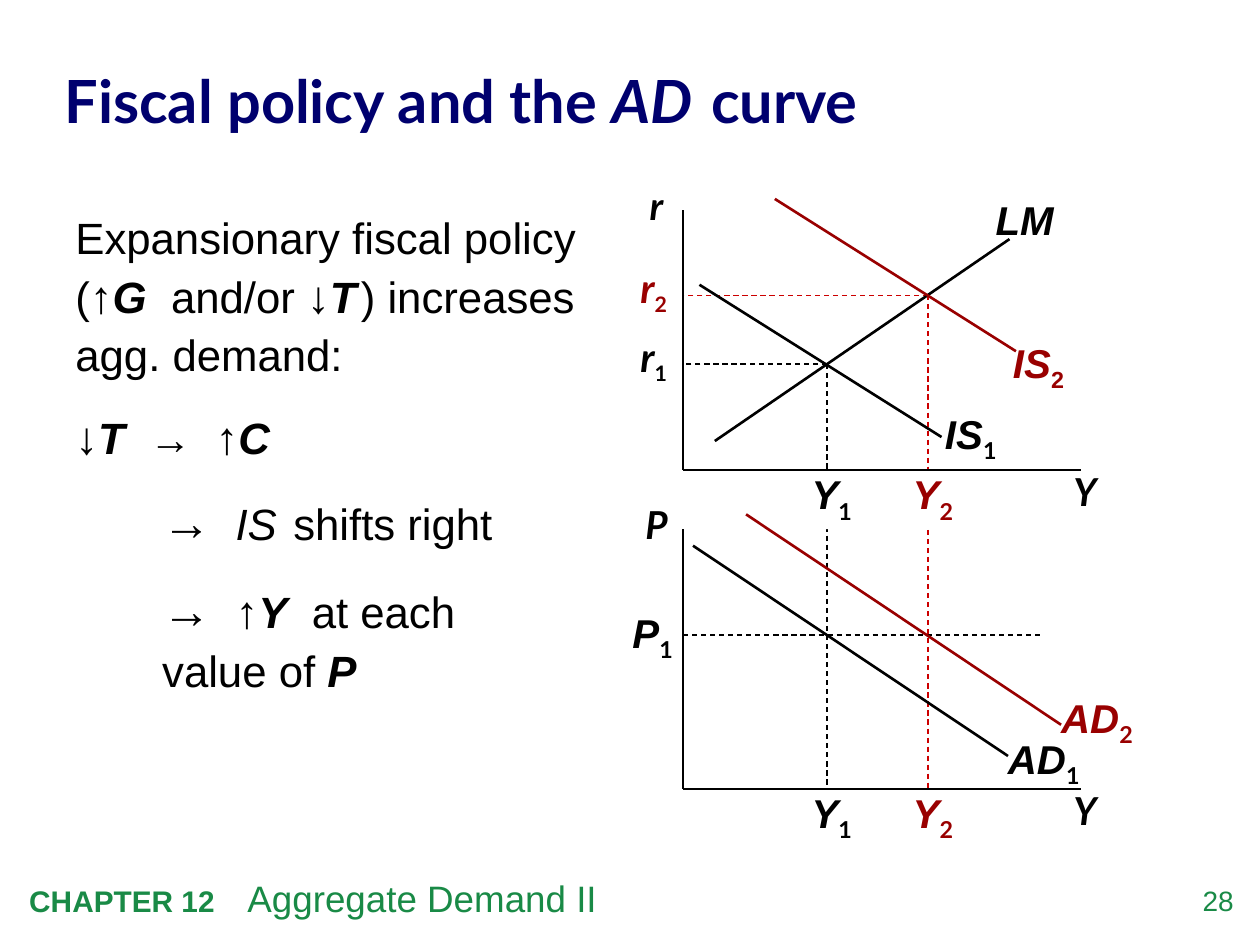
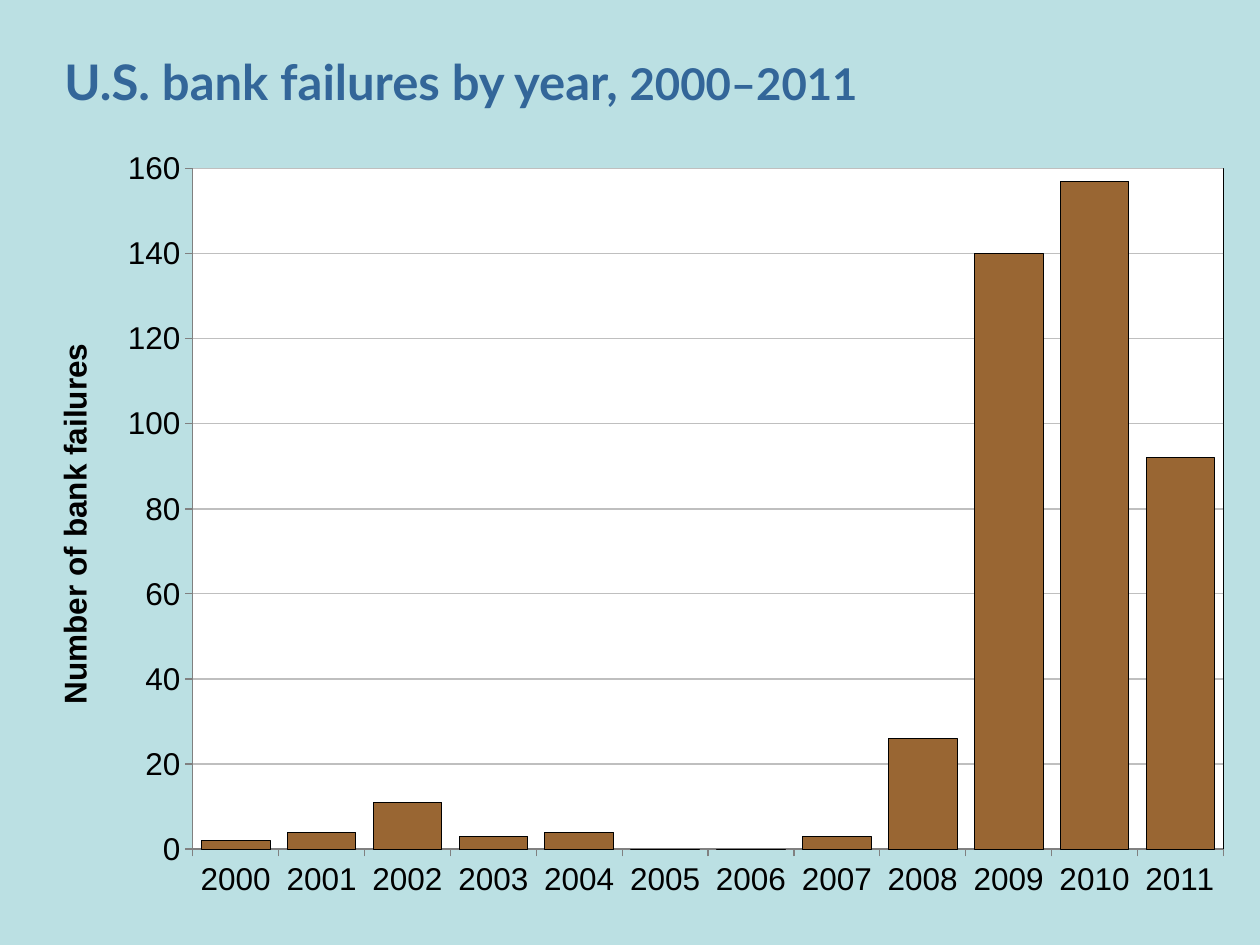
from lxml import etree
from pptx import Presentation
from pptx import util as u
from pptx.chart.data import CategoryChartData
from pptx.dml.color import RGBColor
from pptx.enum import chart as charts, dml, shapes, text
from pptx.oxml import parse_xml
from pptx.oxml.ns import nsdecls, qn

BLACK, RED, GUIDE_RED = "000000", "990000", "CC0000"
WHITE, NAVY, BLUE, GREEN = "FFFFFF", "00006E", "336699", "198A46"
PALE, BROWN, GRID, AXIS = "BBE0E3", "996633", "BFBFBF", "808080"
SANS, DISPLAY = "Arial", "Lato"
PANEL_LEFT, UPPER_TOP, LOWER_TOP = 13.77, 4.24, 10.67
PANEL_WIDTH, PANEL_HEIGHT = 8.03, 5.23
Y1, Y2 = 2.9, 4.94
WIDE_SPACE = (" ", 25, "w")


def color(value):
    """Turn a hex string into a colour."""
    return RGBColor.from_string(value)


def set_background(slide, fill):
    """Fill the slide background."""
    slide.background.fill.solid()
    slide.background.fill.fore_color.rgb = color(fill)


def place(shape, left, top, width, height):
    """Set the box of a shape in centimetres."""
    shape.left, shape.top = u.Cm(left), u.Cm(top)
    shape.width, shape.height = u.Cm(width), u.Cm(height)


def prepare_frame(shape, margin=0, anchor=text.MSO_ANCHOR.TOP):
    """Give a text frame equal margins, wrapping and a fixed size."""
    frame = shape.text_frame
    frame.word_wrap = True
    frame.auto_size = text.MSO_AUTO_SIZE.NONE
    frame.vertical_anchor = anchor
    frame.margin_left = frame.margin_right = u.Cm(margin)
    frame.margin_top = frame.margin_bottom = u.Cm(margin / 2)
    return frame


def add_run(paragraph, words, size, style="", font=SANS, ink=BLACK):
    """Add a run; style letters: b bold, i italic, s subscript, w wide."""
    run = paragraph.add_run()
    run.text = words
    run.font.name = font
    run.font.size = u.Pt(size)
    run.font.bold = "b" in style
    run.font.italic = "i" in style
    run.font.color.rgb = color(ink)
    properties = run._r.get_or_add_rPr()
    if "s" in style:
        properties.set("baseline", "-25000")
    if "w" in style:
        properties.set("spc", "700")


def add_title(slide, runs, ink, height):
    """Format the title placeholder and fill it."""
    title = slide.shapes.title
    place(title, 1.3, 0.66, 22.91, height)
    paragraph = prepare_frame(title, anchor=text.MSO_ANCHOR.MIDDLE).paragraphs[0]
    paragraph.alignment = text.PP_ALIGN.LEFT
    paragraph.line_spacing = 1.05
    for words, size, style in runs:
        add_run(paragraph, words, size, style, DISPLAY, ink)


def add_text(slide, box, runs, ink=BLACK, align=text.PP_ALIGN.LEFT, fill=None):
    """Add one line of text made of (words, size, style, font) runs."""
    shape = slide.shapes.add_textbox(*map(u.Cm, box))
    paragraph = prepare_frame(shape).paragraphs[0]
    paragraph.alignment = align
    for words, size, style, font in runs:
        add_run(paragraph, words, size, style, font, ink)
    if fill:
        shape.fill.solid()
        shape.fill.fore_color.rgb = color(fill)


def add_footer(slide, chapter, topic, number):
    """Write the chapter, its topic and the slide number."""
    add_text(slide, (0.59, 17.8, 4.2, 0.8), [(chapter, 17, "b", SANS)], GREEN)
    add_text(slide, (4.99, 17.65, 12, 0.95), [(topic, 21, "", SANS)], GREEN)
    add_text(slide, (23.47, 17.81, 1.4, 0.81), [(number, 16, "", SANS)], GREEN,
             text.PP_ALIGN.RIGHT)


def add_line(slide, top, start, end, ink=BLACK, width=1.5, dashed=False):
    """Draw a line between two points relative to a panel."""
    line = slide.shapes.add_connector(
        shapes.MSO_CONNECTOR.STRAIGHT,
        u.Cm(PANEL_LEFT + start[0]), u.Cm(top + start[1]),
        u.Cm(PANEL_LEFT + end[0]), u.Cm(top + end[1]))
    line.line.color.rgb = color(ink)
    line.line.width = u.Pt(width)
    if dashed:
        line.line.dash_style = dml.MSO_LINE.DASH
    etree.SubElement(line._element.spPr, qn("a:effectLst"))


def add_label(slide, top, spot, name, index="", ink=BLACK, font=SANS,
              index_font=DISPLAY, fill=None):
    """Place a curve or value label relative to a panel."""
    runs = [(name, 23, "bi", font)]
    if index:
        runs.append((index, 21 if font == DISPLAY else 23, "bs", index_font))
    width = 1.07 if len(name) == 1 else 1.91
    box = (PANEL_LEFT + spot[0], top + spot[1], width, 1.2)
    add_text(slide, box, runs, ink, fill=fill)


def add_axes(slide, top, name):
    """Draw the two axes of a panel and name them."""
    corner = (0, PANEL_HEIGHT)
    add_line(slide, top, (0, 0), corner, width=1)
    add_line(slide, top, corner, (PANEL_WIDTH, PANEL_HEIGHT), width=1)
    add_text(slide, (PANEL_LEFT + 7.87, top + 5.2, 1, 0.95), [("Y", 22, "bi", DISPLAY)])
    add_text(slide, (PANEL_LEFT - 1.07, top - 0.56, 1.07, 0.95),
             [(name, 22, "bi", DISPLAY)], align=text.PP_ALIGN.CENTER)


def add_equilibrium(slide, index, output, rate, ink, guide):
    """Draw the guides and labels of one equilibrium across both panels."""
    bottom = LOWER_TOP - UPPER_TOP + PANEL_HEIGHT
    add_line(slide, UPPER_TOP, (output, rate), (output, bottom), guide, 0.75, True)
    add_line(slide, UPPER_TOP, (output, rate), (0, rate), guide, 0.75, True)
    for top, fill in ((UPPER_TOP, WHITE), (LOWER_TOP, None)):
        add_label(slide, top, (output - 0.31, 5.23), "Y", index, ink, fill=fill)
    add_label(slide, UPPER_TOP, (-0.86, rate - 0.65), "r", index, ink, DISPLAY)


def add_graphs(slide):
    """Draw the IS-LM panel above the aggregate demand panel."""
    add_equilibrium(slide, "2", Y2, 1.71, RED, GUIDE_RED)
    add_equilibrium(slide, "1", Y1, 3.1, BLACK, BLACK)
    add_axes(slide, UPPER_TOP, "r")
    add_axes(slide, LOWER_TOP, "P")
    add_line(slide, LOWER_TOP, (0, 2.13), (7.19, 2.13), BLACK, 0.75, True)
    add_label(slide, LOWER_TOP, (-1.02, 1.6), "P", "1")
    curves = [
        (UPPER_TOP, (0.33, 1.5), (5.21, 4.57), (5.28, 4.01), "IS", "1", BLACK, DISPLAY),
        (UPPER_TOP, (0.64, 4.65), (6.58, 0.58), (6.3, -0.3), "LM", "", BLACK, DISPLAY),
        (LOWER_TOP, (0.2, 0.33), (6.55, 4.57), (6.55, 4.14), "AD", "1", BLACK, DISPLAY),
        (LOWER_TOP, (1.27, -0.3), (7.62, 3.94), (7.62, 3.3), "AD", "2", RED, DISPLAY),
        (UPPER_TOP, (1.85, -0.23), (6.71, 2.84), (6.65, 2.57), "IS", "2", RED, SANS),
    ]
    for top, start, end, spot, name, index, ink, index_font in curves:
        add_line(slide, top, start, end, ink)
        add_label(slide, top, spot, name, index, ink, index_font=index_font)


def add_argument(slide):
    """Fill the body placeholder with the chain of effects."""
    body = slide.placeholders[1]
    place(body, 1.27, 4.01, 10.6, 11)
    frame = prepare_frame(body, 0.25)
    steps = [
        (0, [("Expansionary fiscal policy (", 25, ""), ("↑", 26, ""), ("G", 25, "bi"),
             WIDE_SPACE, ("and/or ", 25, ""), ("↓", 26, ""), ("T", 25, "bi"),
             (" ", 9, "bi"), (") increases agg. demand:", 25, "")]),
        (0, [("↓", 26, ""), ("T", 25, "bi"), WIDE_SPACE, ("→", 24, ""), WIDE_SPACE,
             ("↑", 26, ""), ("C", 25, "bi")]),
        (1.75, [("→", 28, ""), WIDE_SPACE, ("IS", 25, "i"), (" ", 9, "i"),
                (" shifts right", 25, "")]),
        (1.75, [("→", 28, ""), WIDE_SPACE, ("↑", 26, ""), ("Y", 25, "bi"), WIDE_SPACE,
                ("at each", 25, ""), None, ("value of ", 25, ""), ("P", 25, "bi")]),
    ]
    for number, (indent, runs) in enumerate(steps):
        paragraph = frame.add_paragraph() if number else frame.paragraphs[0]
        paragraph.line_spacing = 1.1
        paragraph.space_before = u.Pt(13 if number else 0)
        properties = paragraph._p.get_or_add_pPr()
        properties.set("marL", str(u.Cm(indent)))
        properties.set("indent", "0")
        etree.SubElement(properties, qn("a:buNone"))
        for run in runs:
            if run:
                add_run(paragraph, *run)
            else:
                paragraph.add_line_break()


def format_plot_area(chart):
    """Fix the inner plot box, fill it white and outline it."""
    area = chart._chartSpace.chart.plotArea
    for layout in area.findall(qn("c:layout")):
        area.remove(layout)
    sizes = "".join(f'<c:{key} val="{value}"/>' for key, value in (
        ("layoutTarget", "inner"), ("xMode", "edge"), ("yMode", "edge"),
        ("x", 0.153), ("y", 0.028), ("w", 0.818), ("h", 0.852)))
    area.insert(0, parse_xml(f'<c:layout {nsdecls("c")}><c:manualLayout>{sizes}'
                             '</c:manualLayout></c:layout>'))
    area.append(parse_xml(
        f'<c:spPr {nsdecls("c", "a")}><a:solidFill><a:srgbClr val="{WHITE}"/></a:solidFill>'
        f'<a:ln w="6350"><a:solidFill><a:srgbClr val="{BLACK}"/></a:solidFill></a:ln></c:spPr>'))


def add_failures_chart(slide, box):
    """Add the column chart of failures by year."""
    data = CategoryChartData()
    data.categories = [str(year) for year in range(2000, 2012)]
    data.add_series("Series 1", (2, 4, 11, 3, 4, 0, 0, 3, 26, 140, 157, 92))
    chart = slide.shapes.add_chart(charts.XL_CHART_TYPE.COLUMN_CLUSTERED,
                                   *map(u.Cm, box), data).chart
    chart.has_legend = chart.has_title = False
    chart.font.name, chart.font.size = SANS, u.Pt(18)
    chart.font.color.rgb = color(BLACK)
    plot = chart.plots[0]
    plot.gap_width, plot.vary_by_categories = 25, False
    columns = plot.series[0].format
    columns.fill.solid()
    columns.fill.fore_color.rgb = color(BROWN)
    columns.line.color.rgb = color(BLACK)
    columns.line.width = u.Pt(0.5)
    values = chart.value_axis
    values.minimum_scale, values.maximum_scale, values.major_unit = 0, 160, 20
    values.major_gridlines.format.line.color.rgb = color(GRID)
    values.major_gridlines.format.line.width = u.Pt(0.75)
    for axis in (chart.category_axis, values):
        axis.major_tick_mark = charts.XL_TICK_MARK.OUTSIDE
        axis.format.line.color.rgb = color(AXIS)
    caption = values.axis_title.text_frame
    caption.text = "Number of bank failures"
    font = caption.paragraphs[0].runs[0].font
    font.name, font.size, font.bold = SANS, u.Pt(18), True
    font.color.rgb = color(BLACK)
    format_plot_area(chart)


def build_policy_slide(presentation):
    """Build the slide with the argument and the two graphs."""
    slide = presentation.slides.add_slide(presentation.slide_layouts[1])
    set_background(slide, WHITE)
    add_title(slide, [("Fiscal policy and the ", 34, "b"), ("AD", 34, "bi"),
                      (" ", 11, "bi"), (" curve", 34, "b")], NAVY, 2.62)
    add_argument(slide)
    add_graphs(slide)
    add_footer(slide, "CHAPTER 12", "Aggregate Demand II", "28")


def build_failures_slide(presentation):
    """Build the slide with the chart."""
    slide = presentation.slides.add_slide(presentation.slide_layouts[5])
    set_background(slide, PALE)
    add_title(slide, [("U.S. bank failures by year, ", 28, "b"),
                      ("2000–2011", 25, "b")], BLUE, 1.88)
    add_failures_chart(slide, (0, 2.95, 25.4, 16.1))


def main():
    """Build and save the presentation."""
    presentation = Presentation()
    presentation.slide_width, presentation.slide_height = u.Cm(25.4), u.Cm(19.05)
    build_policy_slide(presentation)
    build_failures_slide(presentation)
    presentation.save("out.pptx")


if __name__ == "__main__":
    main()
